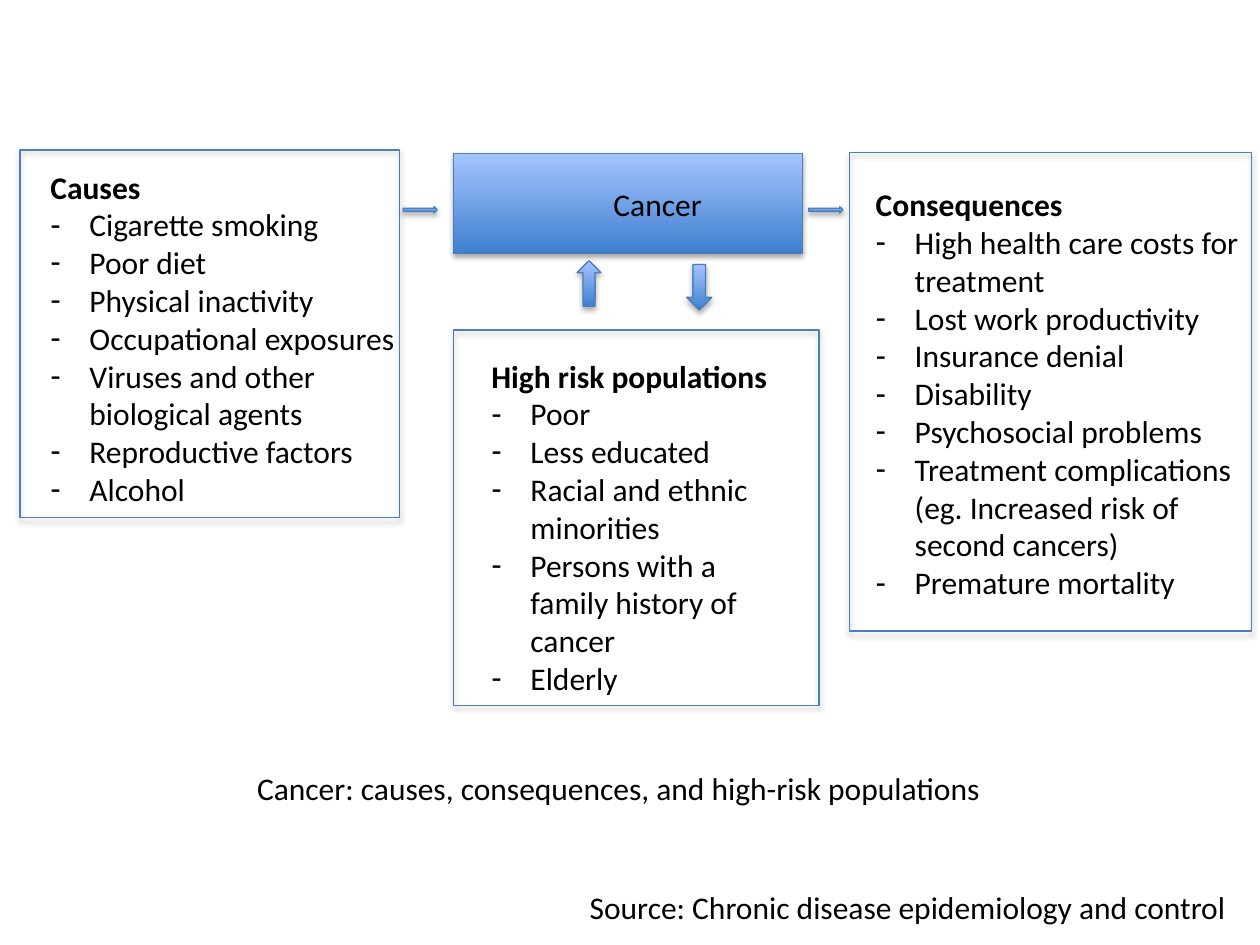
from dataclasses import dataclass

from lxml import etree
from pptx import Presentation
from pptx import util as u
from pptx.dml.color import RGBColor
from pptx.enum import shapes, text
from pptx.oxml import ns

FONT = "Calibri"
BLACK, LINE = "000000", "4B7EBC"
GRADIENT = ("3F80CE", "A4C4FF")
INDENT = 0.31
COMPARISON_LAYOUT = 4

Box = tuple[float, float, float, float]  # left, top, width, height


@dataclass
class Panel:
    frame: Box
    text_box: Box
    heading: str
    items: list[str]


@dataclass
class Arrow:
    kind: shapes.MSO_SHAPE
    box: Box


PANELS = [
    Panel((0.16, 1.19, 3.01, 2.92), (0.3, 1.28, 3.03, 2.83), "Causes", [
        "Cigarette smoking", "Poor diet", "Physical inactivity",
        "Occupational exposures", "Viruses and other biological agents",
        "Reproductive factors", "Alcohol"]),
    Panel((3.6, 2.62, 2.9, 2.98), (3.8, 2.78, 2.62, 2.83), "High risk populations", [
        "Poor", "Less educated", "Racial and ethnic minorities",
        "Persons with a family history of cancer", "Elderly"]),
    Panel((6.74, 1.21, 3.19, 3.8), (6.85, 1.42, 3.08, 3.43), "Consequences", [
        "High health care costs for treatment", "Lost work productivity",
        "Insurance denial", "Disability", "Psychosocial problems",
        "Treatment complications (eg. Increased risk of second cancers)",
        "Premature mortality"]),
]

ARROWS = [
    Arrow(shapes.MSO_SHAPE.RIGHT_ARROW, (3.2, 1.64, 0.27, 0.05)),
    Arrow(shapes.MSO_SHAPE.RIGHT_ARROW, (6.42, 1.64, 0.27, 0.05)),
    Arrow(shapes.MSO_SHAPE.DOWN_ARROW, (5.45, 2.1, 0.2, 0.36)),
    Arrow(shapes.MSO_SHAPE.UP_ARROW, (4.58, 2.07, 0.19, 0.36)),
]


def color(value: str) -> RGBColor:
    return RGBColor.from_string(value)


def add_shadow(shape) -> None:
    """Give the shape a soft shadow that falls straight down."""
    shape.shadow.inherit = False
    effects = shape._element.spPr.find(ns.qn("a:effectLst"))
    shadow = etree.SubElement(effects, ns.qn("a:outerShdw"), blurRad="40000",
                              dist="23000", dir="5400000", rotWithShape="0")
    tint = etree.SubElement(shadow, ns.qn("a:srgbClr"), val=BLACK)
    etree.SubElement(tint, ns.qn("a:alpha"), val="35000")


def add_block(slide, kind: shapes.MSO_SHAPE, box: Box, filled: bool = True) -> None:
    shape = slide.shapes.add_shape(kind, *map(u.Inches, box))
    if filled:
        shape.fill.gradient()
        shape.fill.gradient_angle = 90
        for stop, value in zip(shape.fill.gradient_stops, GRADIENT):
            stop.color.rgb = color(value)
    else:
        shape.fill.background()
    shape.line.color.rgb = color(LINE)
    shape.line.width = u.Pt(0.75)
    add_shadow(shape)


def set_bullet(paragraph, bulleted: bool) -> None:
    properties = paragraph._p.get_or_add_pPr()
    indent = u.Inches(INDENT) if bulleted else 0
    properties.set("marL", str(indent))
    properties.set("indent", str(-indent))
    if bulleted:
        etree.SubElement(properties, ns.qn("a:buFontTx"))
        etree.SubElement(properties, ns.qn("a:buChar"), char="-")
    else:
        etree.SubElement(properties, ns.qn("a:buNone"))


def write(paragraph, words: str, *, bold: bool = False, bulleted: bool = False) -> None:
    paragraph.alignment = text.PP_ALIGN.LEFT
    paragraph.space_before = u.Pt(0)
    set_bullet(paragraph, bulleted)
    run = paragraph.add_run()
    run.text = words
    run.font.name = FONT
    run.font.size = u.Pt(18)
    run.font.bold = bold
    run.font.color.rgb = color(BLACK)


def place_text(shape, box: Box, first_line: str, items: list[str] = (),
               bold: bool = False) -> None:
    """Move a text shape, then write its first line and any bulleted items."""
    shape.left, shape.top, shape.width, shape.height = map(u.Inches, box)
    frame = shape.text_frame
    frame.word_wrap = True
    frame.auto_size = text.MSO_AUTO_SIZE.SHAPE_TO_FIT_TEXT
    frame.vertical_anchor = text.MSO_ANCHOR.TOP
    write(frame.paragraphs[0], first_line, bold=bold)
    for item in items:
        write(frame.add_paragraph(), item, bulleted=True)


def main() -> None:
    presentation = Presentation()
    presentation.slide_width = u.Inches(10)
    presentation.slide_height = u.Inches(7.5)
    slide = presentation.slides.add_slide(presentation.slide_layouts[COMPARISON_LAYOUT])
    title, *bodies, source = list(slide.placeholders)

    # Central topic
    add_block(slide, shapes.MSO_SHAPE.RECTANGLE, (3.6, 1.22, 2.77, 0.79))
    topic_box = (4.77, 1.42, 1.09, 0.4)
    topic = slide.shapes.add_textbox(*map(u.Inches, topic_box))
    place_text(topic, topic_box, "Cancer")

    # Framed lists
    for panel, body in zip(PANELS, bodies):
        add_block(slide, shapes.MSO_SHAPE.RECTANGLE, panel.frame, filled=False)
        place_text(body, panel.text_box, panel.heading, panel.items, bold=True)

    # Arrows between the topic and the lists
    for arrow in ARROWS:
        add_block(slide, arrow.kind, arrow.box)

    # Caption and source
    place_text(title, (1.94, 6.05, 6.2, 0.4),
               "Cancer: causes, consequences, and high-risk populations")
    place_text(source, (4.58, 7, 5.35, 0.4),
               "Source: Chronic disease epidemiology and control")

    presentation.save("out.pptx")


if __name__ == "__main__":
    main()
